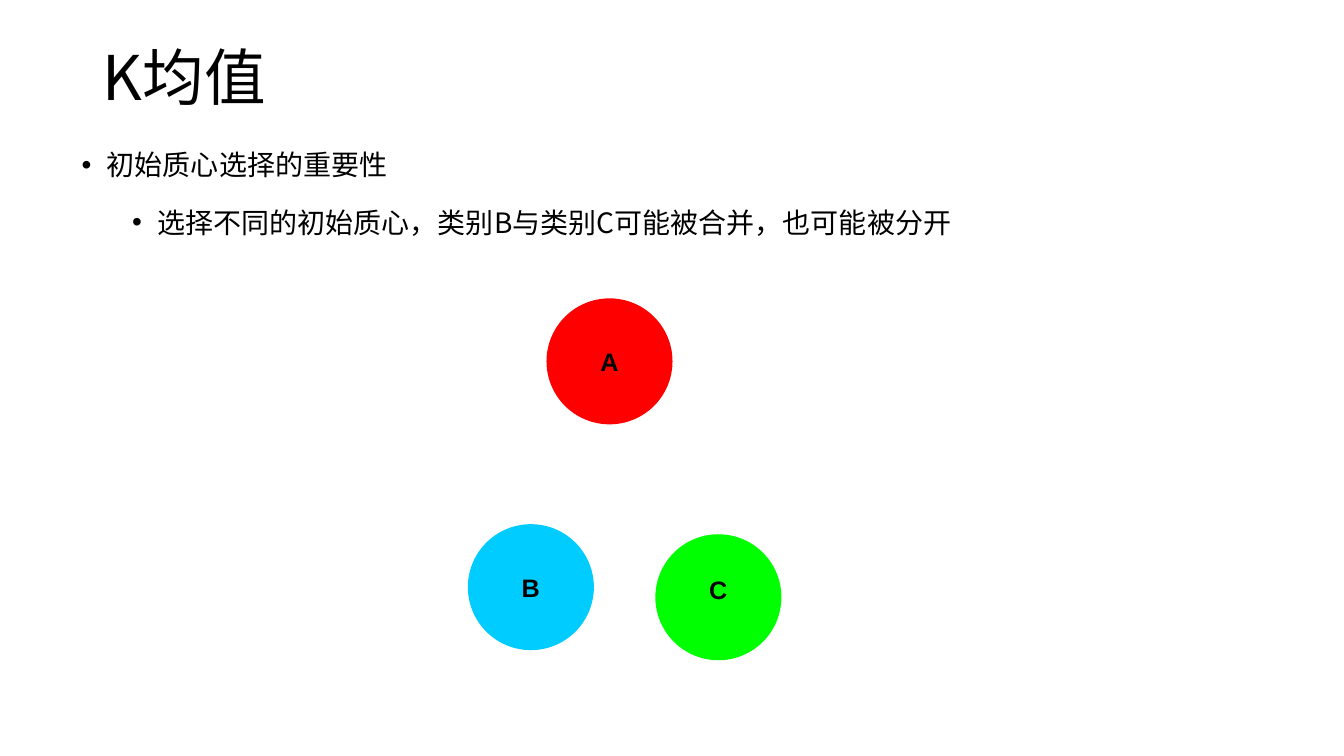
from lxml import etree
from pptx import Presentation
from pptx.dml.color import RGBColor
from pptx.enum.shapes import MSO_SHAPE
from pptx.enum.text import MSO_ANCHOR, MSO_AUTO_SIZE, PP_ALIGN
from pptx.oxml.ns import qn
from pptx.util import Inches, Pt

COLORS = {"text": "000000", "A": "FF0000", "B": "00CCFF", "C": "00FF00"}
CJK_FONT = "Noto Sans CJK SC"
LABEL_FONT = "Arial"
DIAMETER = 1.25
LABEL_WIDTH, LABEL_HEIGHT = 0.66, 0.4

# Name, left and top within the diagram, vertical shift of the label
CLUSTERS = [("B", 0, 2.24, 0), ("C", 1.86, 2.34, -0.08), ("A", 0.78, 0, 0)]
BULLETS = [
    # Text, level, left indent in inches, space before in points
    ("初始质心选择的重要性", 0, 0.25, 0),
    ("选择不同的初始质心，类别B与类别C可能被合并，也可能被分开", 1, 0.75, 5),
]


def place(shape, left, top, width, height):
    shape.left, shape.top = Inches(left), Inches(top)
    shape.width, shape.height = Inches(width), Inches(height)


def format_font(paragraph, name, size, bold=False):
    font = paragraph.font
    font.name, font.size, font.bold = name, Pt(size), bold
    font.color.rgb = RGBColor.from_string(COLORS["text"])
    if name == CJK_FONT:
        properties = paragraph._p.get_or_add_pPr().find(qn("a:defRPr"))
        etree.SubElement(properties, qn("a:ea"), typeface=name)


def add_bullet(paragraph, indent):
    properties = paragraph._p.get_or_add_pPr()
    properties.set("marL", str(Inches(indent)))
    properties.set("indent", str(Inches(-0.25)))
    etree.SubElement(properties, qn("a:buFont"), typeface="Arial")
    etree.SubElement(properties, qn("a:buChar"), char="•")


def fill_title(title, left, top, width, height):
    place(title, left, top, width, height)
    frame = title.text_frame
    frame.text = "K均值"
    frame.vertical_anchor = MSO_ANCHOR.MIDDLE
    frame.auto_size = MSO_AUTO_SIZE.NONE
    paragraph = frame.paragraphs[0]
    paragraph.alignment = PP_ALIGN.LEFT
    paragraph.line_spacing = 0.9
    format_font(paragraph, CJK_FONT, 44)


def fill_body(body, left, top, width, height):
    place(body, left, top, width, height)
    frame = body.text_frame
    frame.auto_size = MSO_AUTO_SIZE.NONE
    frame.text = "\n".join(text for text, *_ in BULLETS)
    for paragraph, (_, level, indent, space) in zip(frame.paragraphs, BULLETS):
        paragraph.level = level
        paragraph.line_spacing = 1.5
        paragraph.space_before = Pt(space)
        add_bullet(paragraph, indent)
        format_font(paragraph, CJK_FONT, 20)


def add_circle(slide, name, left, top):
    circle = slide.shapes.add_shape(
        MSO_SHAPE.OVAL, Inches(left), Inches(top), Inches(DIAMETER), Inches(DIAMETER))
    circle.shadow.inherit = False
    circle.fill.solid()
    circle.fill.fore_color.rgb = RGBColor.from_string(COLORS[name])
    circle.line.fill.background()


def add_label(slide, name, center_x, center_y):
    label = slide.shapes.add_textbox(
        Inches(center_x - LABEL_WIDTH / 2), Inches(center_y - LABEL_HEIGHT / 2),
        Inches(LABEL_WIDTH), Inches(LABEL_HEIGHT))
    frame = label.text_frame
    frame.word_wrap = True
    frame.auto_size = MSO_AUTO_SIZE.SHAPE_TO_FIT_TEXT
    frame.text = name
    paragraph = frame.paragraphs[0]
    paragraph.alignment = PP_ALIGN.CENTER
    format_font(paragraph, LABEL_FONT, 18, bold=True)


def add_clusters(slide, left, top):
    for name, x, y, _ in CLUSTERS:
        add_circle(slide, name, left + x, top + y)
    radius = DIAMETER / 2
    for name, x, y, shift in CLUSTERS:
        add_label(slide, name, left + x + radius, top + y + radius + shift)


def main():
    presentation = Presentation()
    presentation.slide_width, presentation.slide_height = Inches(13.33), Inches(7.5)
    slide = presentation.slides.add_slide(presentation.slide_layouts[1])
    fill_title(slide.shapes.title, 0.92, 0.07, 11.5, 1.45)
    fill_body(slide.placeholders[1], 0.71, 1.25, 11.91, 5.96)
    add_clusters(slide, 4.64, 2.96)
    presentation.save("out.pptx")


if __name__ == "__main__":
    main()
